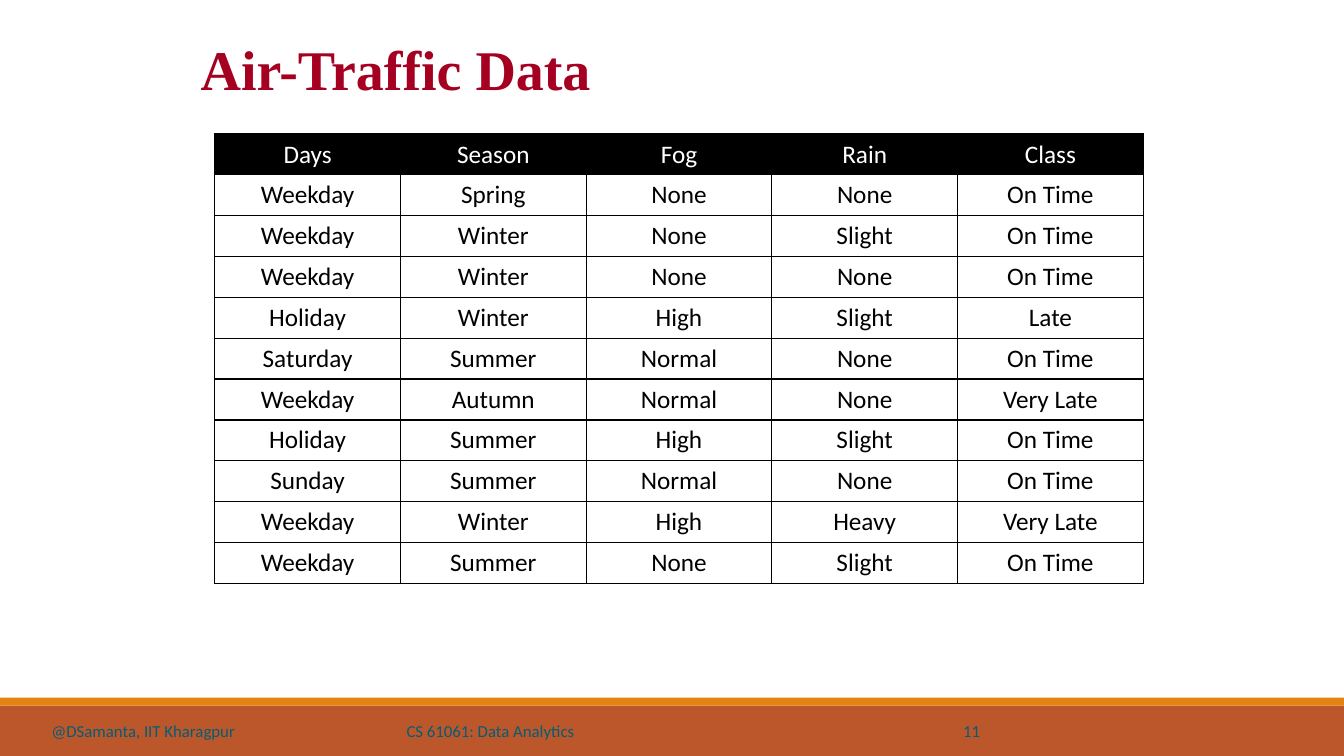
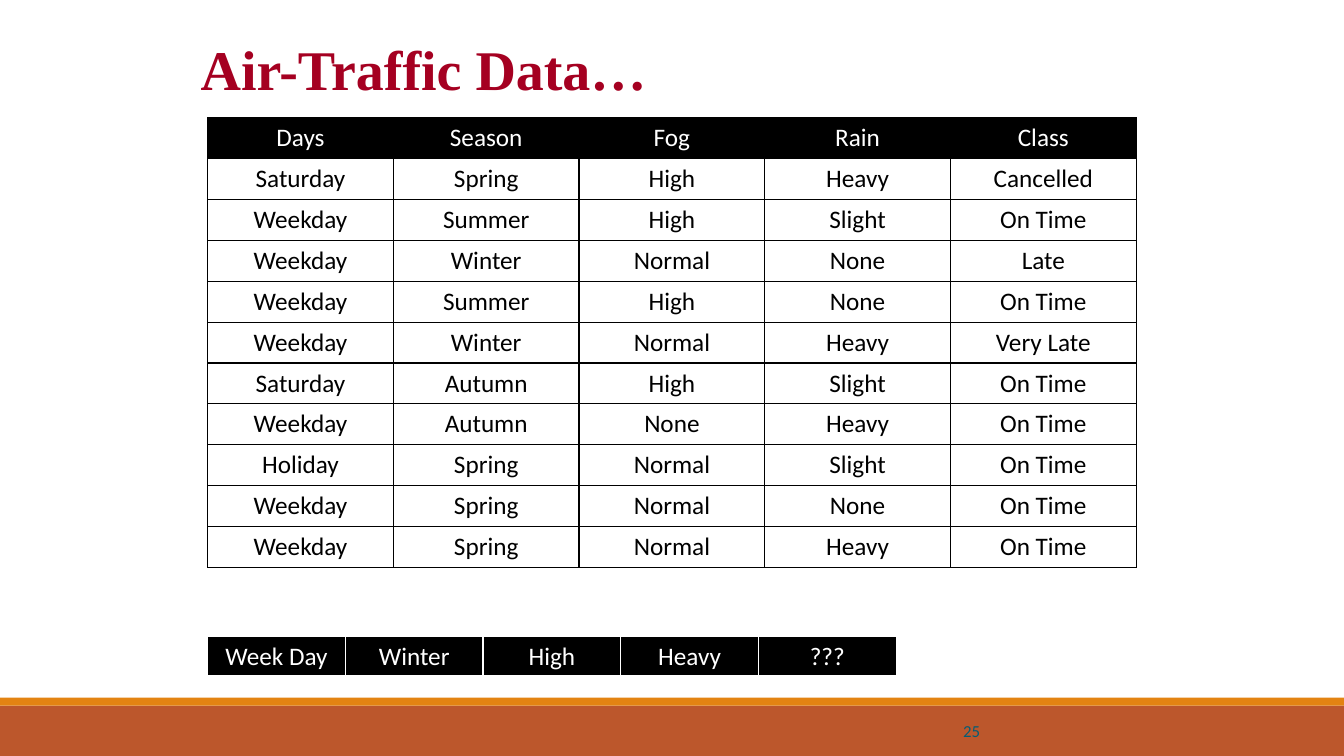
"""Build two slides of air-traffic training data with a shared title and footer style."""
from lxml import etree
from pptx import Presentation
from pptx.dml.color import RGBColor
from pptx.enum.shapes import MSO_SHAPE
from pptx.enum.text import MSO_ANCHOR, MSO_AUTO_SIZE, PP_ALIGN
from pptx.oxml.ns import qn
from pptx.util import Inches, Pt

RECTANGLE = MSO_SHAPE.RECTANGLE
TOP, BOTTOM = MSO_ANCHOR.TOP, MSO_ANCHOR.BOTTOM
LEFT, CENTER, RIGHT = PP_ALIGN.LEFT, PP_ALIGN.CENTER, PP_ALIGN.RIGHT
NO_AUTOFIT = MSO_AUTO_SIZE.NONE

BLACK, WHITE = "000000", "FFFFFF"
TITLE_COLOR, FOOTER_COLOR = "A50021", "045D75"
BANDS = [(7, 0.5, "BC572C"), (6.92, 0.08, "E38312")]
SLIDE_WIDTH = 13.33
ROW_HEIGHT = 4.46 / 11
DATA_WIDTH, QUERY_WIDTH = 9.21, 6.83
GRID = {side: (BLACK, 1) for side in "LRTB"}
QUERY_BORDERS = {"L": (WHITE, 1), "R": (WHITE, 1), "T": (WHITE, 1), "B": (WHITE, 3)}

HEADER = ("Days", "Season", "Fog", "Rain", "Class")
FIRST_FLIGHTS = [
    ("Weekday", "Spring", "None", "None", "On Time"),
    ("Weekday", "Winter", "None", "Slight", "On Time"),
    ("Weekday", "Winter", "None", "None", "On Time"),
    ("Holiday", "Winter", "High", "Slight", "Late"),
    ("Saturday", "Summer", "Normal", "None", "On Time"),
    ("Weekday", "Autumn", "Normal", "None", "Very Late"),
    ("Holiday", "Summer", "High", "Slight", "On Time"),
    ("Sunday", "Summer", "Normal", "None", "On Time"),
    ("Weekday", "Winter", "High", "Heavy", "Very Late"),
    ("Weekday", "Summer", "None", "Slight", "On Time"),
]
MORE_FLIGHTS = [
    ("Saturday", "Spring", "High", "Heavy", "Cancelled"),
    ("Weekday", "Summer", "High", "Slight", "On Time"),
    ("Weekday", "Winter", "Normal", "None", "Late"),
    ("Weekday", "Summer", "High", "None", "On Time"),
    ("Weekday", "Winter", "Normal", "Heavy", "Very Late"),
    ("Saturday", "Autumn", "High", "Slight", "On Time"),
    ("Weekday", "Autumn", "None", "Heavy", "On Time"),
    ("Holiday", "Spring", "Normal", "Slight", "On Time"),
    ("Weekday", "Spring", "Normal", "None", "On Time"),
    ("Weekday", "Spring", "Normal", "Heavy", "On Time"),
]
UNSEEN_FLIGHT = ("Week Day", "Winter", "High", "Heavy", "???")

SLIDES = [
    {
        "title": "Air-Traffic Data",
        "footers": [
            (0.51, 2.39, LEFT, "@DSamanta, IIT Kharagpur"),
            (2.99, 3.75, CENTER, "CS 61061: Data Analytics"),
            (8.87, 0.85, RIGHT, "11"),
        ],
        "tables": [(2.13, 1.33, DATA_WIDTH, [HEADER] + FIRST_FLIGHTS, GRID)],
    },
    {
        "title": "Air-Traffic Data…",
        "footers": [(8.87, 0.85, RIGHT, "25")],
        "tables": [
            (2.06, 1.17, DATA_WIDTH, [HEADER] + MORE_FLIGHTS, GRID),
            (2.06, 6.31, QUERY_WIDTH, [UNSEEN_FLIGHT], QUERY_BORDERS),
        ],
    },
]


def rgb(value):
    return RGBColor.from_string(value)


def write(text_frame, text, size, font_name, color, alignment):
    paragraph = text_frame.paragraphs[0]
    paragraph.alignment = alignment
    run = paragraph.add_run()
    run.text = text
    run.font.size = Pt(size)
    run.font.name = font_name
    run.font.color.rgb = rgb(color)
    return run


presentation = Presentation()
presentation.slide_width = Inches(SLIDE_WIDTH)
presentation.slide_height = Inches(7.5)
layout = presentation.slide_layouts[5]

for number, content in enumerate(SLIDES):
    slide = presentation.slides.add_slide(layout)

    if number == 0:
        for top, height, color in BANDS:
            band = slide.shapes.add_shape(
                RECTANGLE, 0, Inches(top), Inches(SLIDE_WIDTH), Inches(height))
            band.shadow.inherit = False
            band.fill.solid()
            band.fill.fore_color.rgb = rgb(color)
            band.line.fill.background()
            layout.shapes.element.append(band.element)

    title = slide.shapes.title
    title.left, title.top = Inches(1.99), Inches(0.29)
    title.width, title.height = Inches(9.21), Inches(1.25)
    frame = title.text_frame
    frame.auto_size = NO_AUTOFIT
    frame.vertical_anchor = TOP
    frame.margin_left = frame.margin_right = frame.margin_bottom = 0
    frame.margin_top = Inches(0.05)
    title_run = write(frame, content["title"], 40, "Times New Roman", TITLE_COLOR, LEFT)
    title_run.font.bold = True

    for left, width, alignment, text in content["footers"]:
        footer = slide.shapes.add_textbox(Inches(left), Inches(6.95), Inches(width), Inches(0.4))
        frame = footer.text_frame
        frame.word_wrap = True
        frame.vertical_anchor = BOTTOM
        frame.margin_left = frame.margin_right = frame.margin_top = frame.margin_bottom = 0
        write(frame, text, 12, "Calibri", FOOTER_COLOR, alignment)

    for left, top, width, rows, borders in content["tables"]:
        table = slide.shapes.add_table(
            len(rows), len(HEADER), Inches(left), Inches(top),
            Inches(width), Inches(ROW_HEIGHT * len(rows))).table
        table.first_row = table.horz_banding = False
        for row_index, row in enumerate(rows):
            for column_index, text in enumerate(row):
                cell = table.cell(row_index, column_index)
                if row_index == 0:
                    cell.fill.solid()
                    cell.fill.fore_color.rgb = rgb(BLACK)
                else:
                    cell.fill.background()
                text_color = WHITE if row_index == 0 else BLACK
                write(cell.text_frame, text, 18, "Calibri", text_color, CENTER)
                properties = cell._tc.get_or_add_tcPr()
                for position, (side, (color, points)) in enumerate(borders.items()):
                    line = etree.Element(qn(f"a:ln{side}"), w=str(Pt(points)))
                    fill = etree.SubElement(line, qn("a:solidFill"))
                    etree.SubElement(fill, qn("a:srgbClr"), val=color)
                    properties.insert(position, line)

presentation.save("out.pptx")
